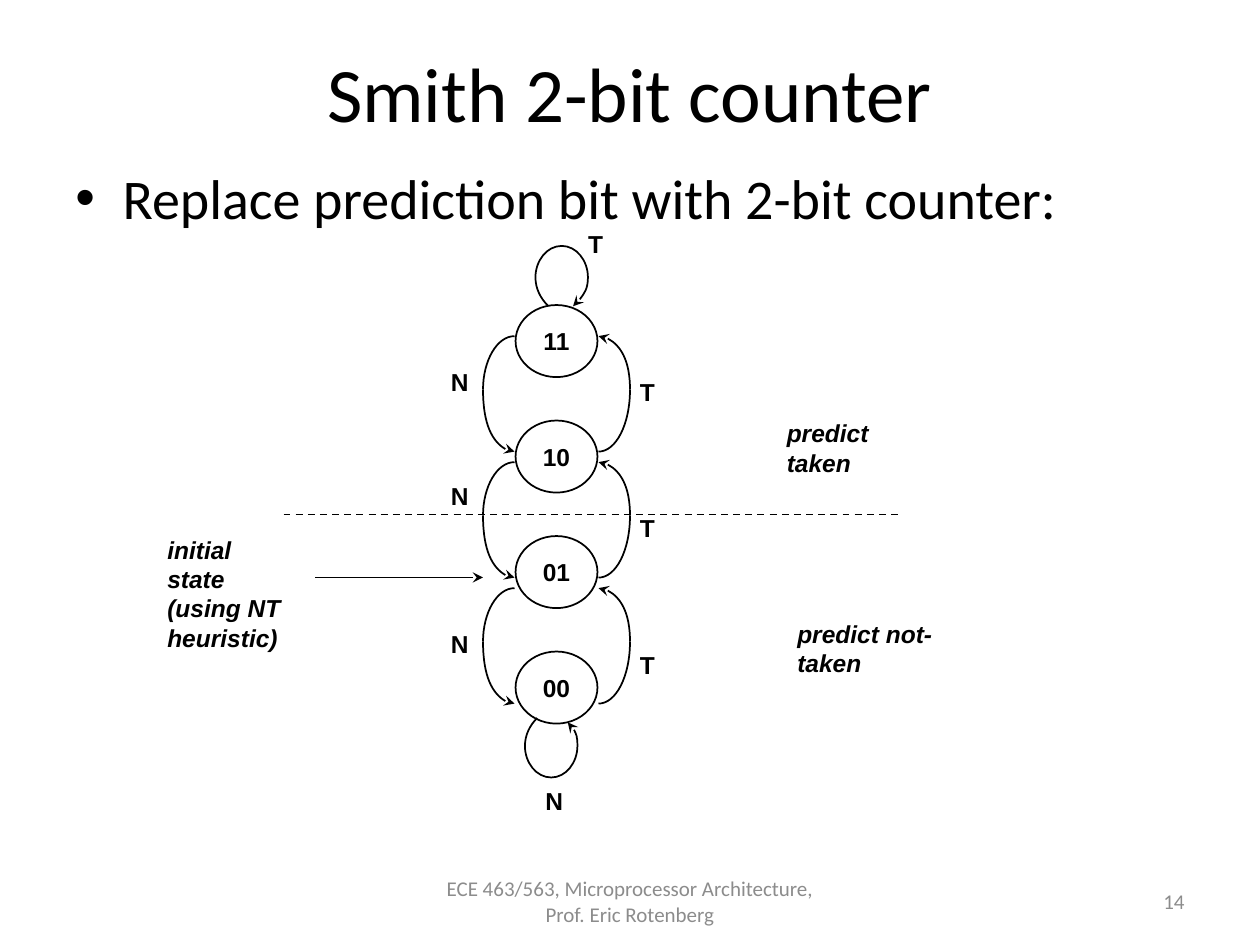
from lxml import etree
from pptx import Presentation
from pptx.dml.color import RGBColor
from pptx.enum.dml import MSO_LINE
from pptx.enum.shapes import MSO_CONNECTOR, MSO_SHAPE
from pptx.enum.text import MSO_ANCHOR, PP_ALIGN
from pptx.oxml.ns import qn
from pptx.util import Pt

BLACK = RGBColor(0, 0, 0)
WHITE = RGBColor(255, 255, 255)
GRAY = RGBColor(0x8C, 0x8C, 0x8C)
LEFT, CENTER, RIGHT = PP_ALIGN.LEFT, PP_ALIGN.CENTER, PP_ALIGN.RIGHT
TOP, MIDDLE = MSO_ANCHOR.TOP, MSO_ANCHOR.MIDDLE
DASH = MSO_LINE.DASH
OVAL = MSO_SHAPE.OVAL
STRAIGHT = MSO_CONNECTOR.STRAIGHT

LABEL = {"name": "Arial", "size": Pt(14), "bold": True}
NOTE = {**LABEL, "italic": True}
TITLE = {"name": "Calibri", "size": Pt(44)}
BODY = {"name": "Calibri", "size": Pt(32)}
FOOTER = {"name": "Calibri", "size": Pt(12)}


def place(sp, box):
    sp.left, sp.top, sp.width, sp.height = map(Pt, box)


def write(sp, lines, font, color=BLACK, align=LEFT, anchor=TOP, wrap=True):
    tf = sp.text_frame
    tf.word_wrap = wrap
    tf.vertical_anchor = anchor
    tf.text = "\n".join(lines)
    for p in tf.paragraphs:
        p.alignment = align
        for r in p.runs:
            for key, value in font.items():
                setattr(r.font, key, value)
            r.font.color.rgb = color


def add_text(s, box, lines, font, **kw):
    sp = s.shapes.add_textbox(*map(Pt, box))
    write(sp, lines, font, **kw)
    return sp


def style_line(sp, arrow=None, dash=None):
    """Thin black line; arrow is headEnd (start) or tailEnd (finish)."""
    sp.line.color.rgb = BLACK
    sp.line.width = Pt(1)
    if dash:
        sp.line.dash_style = dash
    if arrow:
        etree.SubElement(sp.line._get_or_add_ln(), qn("a:" + arrow), type="stealth")


def add_line(s, x1, y1, x2, y2, **kw):
    sp = s.shapes.add_connector(STRAIGHT, Pt(x1), Pt(y1), Pt(x2), Pt(y2))
    style_line(sp, **kw)
    etree.SubElement(sp._element.spPr, qn("a:effectLst"))


def add_curve(s, points, arrow=None):
    """Bezier outline: a start point, then three points for each curve."""
    start, *rest = [(Pt(x), Pt(y)) for x, y in points]
    builder = s.shapes.build_freeform(*start)
    builder.add_line_segments(rest, close=False)
    sp = builder.convert_to_shape()
    # Merge every three straight segments into one cubic curve
    outline = next(sp._element.iter(qn("a:path")))
    segments = outline.findall(qn("a:lnTo"))
    for i in range(0, len(segments), 3):
        curve = etree.SubElement(outline, qn("a:cubicBezTo"))
        for segment in segments[i:i + 3]:
            curve.append(segment[0])
            outline.remove(segment)
    sp.shadow.inherit = False
    sp.fill.background()
    style_line(sp, arrow)


def transition(s, x, top, side):
    """Curve between two states; side is 1 for taken, -1 for not taken."""
    mid, bottom = top + 30.5, top + 66
    bend, outer = x + 10 * side, x + 18 * side
    add_curve(s, [(x, top), (bend, top), (outer, top + 14), (outer, mid)],
              "headEnd" if side > 0 else None)
    add_curve(s, [(outer, mid), (outer, mid + 20), (bend, bottom), (x, bottom)],
              "tailEnd" if side < 0 else None)


def self_loop(s, cx, cy, end, up):
    """Loop on an outer state; end is the arrow tip relative to the centre."""
    ex, ey = end
    offsets = [(-8, 16), (-12, 12), (-15, 6.5), (-15, 0),
               (-15, -9.5), (-8.5, -18), (0, -18),
               (8.5, -18), (15, -9.5), (15, 0),
               (15, ey * 0.4), (ex + 4, ey - 3), (ex, ey)]
    add_curve(s, [(cx + x, cy + up * y) for x, y in offsets], "tailEnd")


def state_diagram(s, cx, top):
    # States
    width, height, pitch = 46.8, 41.2, 66
    for i, name in enumerate(("11", "10", "01", "00")):
        box = (cx - width / 2, top + i * pitch, width, height)
        sp = s.shapes.add_shape(OVAL, *map(Pt, box))
        sp.shadow.inherit = False
        sp.fill.solid()
        sp.fill.fore_color.rgb = WHITE
        style_line(sp)
        write(sp, [name], LABEL, align=CENTER, anchor=MIDDLE, wrap=False)

    # Transitions
    for side in (1, -1):
        for i in range(3):
            transition(s, cx + 24 * side, top + 17.8 + 72 * i, side)
    self_loop(s, cx + 3, top - 15.8, (6.5, 16.5), 1)
    self_loop(s, cx - 3, top + 252, (9.5, 13.5), -1)

    # Transition labels
    labels = [("T", 11, -46.8), ("N", -13.5, 271.5)]
    labels += [("T", 40.5, 37.5 + 78 * i) for i in range(3)]
    labels += [("N", -67.5, y) for y in (31.7, 97.2, 181.5)]
    for text, dx, dy in labels:
        add_text(s, (cx + dx, top + dy, 24, 24), [text], LABEL, wrap=False)


def annotations(s, left, top):
    # Border between the two predictions
    add_line(s, left + 73.5, top + 58.5, left + 427.5, top + 58.5, dash=DASH)
    add_text(s, (left + 354, top, 98, 41), ["predict taken"], NOTE)
    add_text(s, (left + 360, top + 114.5, 120, 41), ["predict not-taken"], NOTE)
    # Starting state
    add_line(s, left + 91.5, top + 94.5, left + 187.5, top + 94.5, arrow="tailEnd")
    add_text(s, (left, top + 66.5, 84, 75),
             ["initial state", "(using NT", "heuristic)"], NOTE)


def heading(s, left, top, width):
    place(s.shapes.title, (left, top, width, 62))
    write(s.shapes.title, ["Smith 2-bit counter"], TITLE, align=CENTER, anchor=MIDDLE)
    sp = add_text(s, (left, top + 68.4, width, 42.5),
                  ["Replace prediction bit with 2-bit counter:"], BODY)
    pPr = sp.text_frame.paragraphs[0]._p.get_or_add_pPr()
    pPr.set("marL", str(Pt(27)))
    pPr.set("indent", str(Pt(-27)))
    etree.SubElement(pPr, qn("a:buFont"), typeface="Arial")
    etree.SubElement(pPr, qn("a:buChar"), char="•")


def footer(s, top, height):
    add_text(s, (246, top, 228, height),
             ["ECE 463/563, Microprocessor Architecture, Prof. Eric Rotenberg"],
             FOOTER, color=GRAY, align=CENTER, anchor=MIDDLE)
    add_text(s, (516, top, 168, height), ["14"],
             FOOTER, color=GRAY, align=RIGHT, anchor=MIDDLE)


def main():
    prs = Presentation()
    prs.slide_width, prs.slide_height = Pt(720), Pt(540)
    s = prs.slides.add_slide(prs.slide_layouts[5])
    heading(s, 36, 21.6, 648)
    footer(s, 500.5, 28.8)
    state_diagram(s, 318, 174.3)
    annotations(s, 88.5, 235.5)
    prs.save("out.pptx")


if __name__ == "__main__":
    main()
